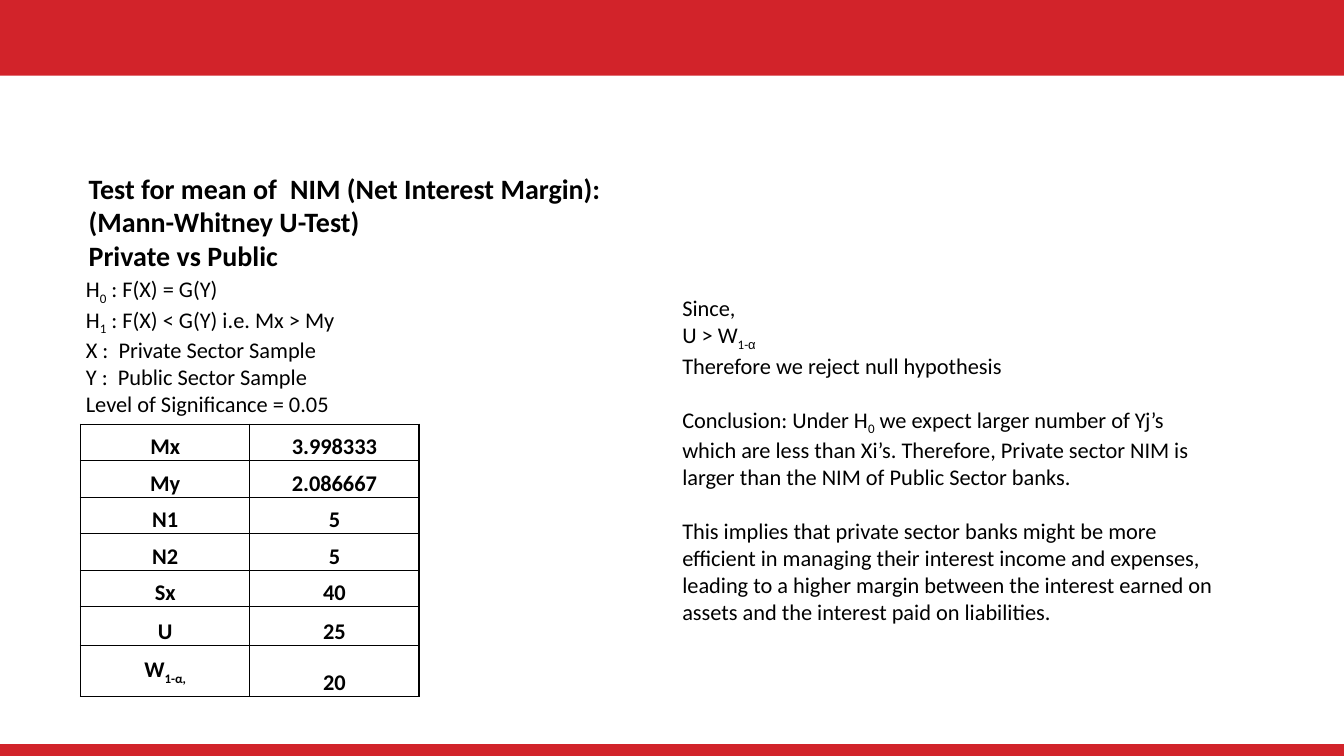
from dataclasses import dataclass

from lxml import etree
from pptx import Presentation
from pptx.dml.color import RGBColor
from pptx.enum import shapes, text
from pptx.oxml import ns
from pptx.util import Cm, Pt

RED, BLACK = "D2232A", "000000"
FONT = "Calibri"


@dataclass
class Box:
    left: float
    top: float
    width: float
    height: float

    def lengths(self) -> tuple:
        return Cm(self.left), Cm(self.top), Cm(self.width), Cm(self.height)


@dataclass
class Piece:
    words: str
    lowered: bool = False
    font: str = FONT


@dataclass
class Line:
    pieces: list
    gap: float = 0


def sub(words: str, font: str = FONT) -> Piece:
    return Piece(words, True, font)


def line(*pieces, gap: float = 0) -> Line:
    return Line([Piece(x) if isinstance(x, str) else x for x in pieces], gap)


def color(value: str) -> RGBColor:
    return RGBColor.from_string(value)


def write(tf, lines: list, *, size: float = 16, bold: bool = False,
          align=text.PP_ALIGN.LEFT) -> None:
    for i, item in enumerate(lines):
        p = tf.add_paragraph() if i else tf.paragraphs[0]
        p.alignment = align
        p.line_spacing = 1.0
        p.space_before, p.space_after = Pt(item.gap), Pt(0)
        pPr = p._p.get_or_add_pPr()
        pPr.set("marL", "0")
        pPr.set("indent", "0")
        etree.SubElement(pPr, ns.qn("a:buNone"))
        for piece in item.pieces:
            r = p.add_run()
            r.text = piece.words
            r.font.name, r.font.size, r.font.bold = piece.font, Pt(size), bold
            r.font.color.rgb = color(BLACK)
            if piece.lowered:
                r.font._element.set("baseline", "-25000")


def fill_placeholder(sp, box: Box, lines: list, **fmt) -> None:
    sp.left, sp.top, sp.width, sp.height = box.lengths()
    tf = sp.text_frame
    tf.word_wrap = True
    tf.auto_size = text.MSO_AUTO_SIZE.NONE
    tf.vertical_anchor = text.MSO_ANCHOR.TOP
    write(tf, lines, **fmt)


def add_bar(s, box: Box) -> None:
    sp = s.shapes.add_shape(shapes.MSO_SHAPE.RECTANGLE, *box.lengths())
    sp.shadow.inherit = False
    sp.fill.solid()
    sp.fill.fore_color.rgb = color(RED)
    sp.line.fill.background()


def add_borders(cell) -> None:
    tcPr = cell._tc.get_or_add_tcPr()
    for side in ("lnL", "lnR", "lnT", "lnB"):
        ln = etree.SubElement(tcPr, ns.qn(f"a:{side}"), w=str(Pt(1)))
        solid = etree.SubElement(ln, ns.qn("a:solidFill"))
        etree.SubElement(solid, ns.qn("a:srgbClr"), val=BLACK)


def add_results(s, box: Box, rows: list, heights: list) -> None:
    table = s.shapes.add_table(len(rows), 2, *box.lengths()).table
    table.first_row = table.horz_banding = False
    for i, (row, height) in enumerate(zip(rows, heights)):
        table.rows[i].height = Cm(height)
        for j, item in enumerate(row):
            cell = table.cell(i, j)
            cell.margin_left = cell.margin_right = cell.margin_top = Cm(0.03)
            cell.margin_bottom = 0
            cell.vertical_anchor = text.MSO_ANCHOR.BOTTOM
            add_borders(cell)
            cell.fill.background()
            write(cell.text_frame, [item], bold=True,
                  align=text.PP_ALIGN.CENTER)
    table.cell(len(rows) - 1, 0).vertical_anchor = text.MSO_ANCHOR.MIDDLE


TITLE = [
    line("Test for mean of \tNIM (Net Interest Margin):"),
    line("(Mann-Whitney U-Test)"),
    line("Private vs Public"),
]
HYPOTHESES = [
    line("H", sub("0"), " : F(X) = G(Y)"),
    line("H", sub("1"), " : F(X) < G(Y) i.e. Mx > My"),
    line("X :  Private Sector Sample"),
    line("Y :  Public Sector Sample"),
    line("Level of Significance = 0.05"),
]
CONCLUSION = [
    line("Since,"),
    line("U > W", sub("1-"), sub("α", "Arial")),
    line("Therefore we reject null hypothesis"),
    line("Conclusion: Under H", sub("0"),
         " we expect larger number of Yj’s which are less than Xi’s. "
         "Therefore, Private sector NIM is larger than the NIM of Public "
         "Sector banks.", gap=19.5),
    line("This implies that private sector banks might be more efficient in "
         "managing their interest income and expenses, leading to a higher "
         "margin between the interest earned on assets and the interest paid "
         "on liabilities.", gap=19.5),
]
RESULTS = [
    (line("Mx"), line("3.998333")),
    (line("My"), line("2.086667")),
    (line("N1"), line("5")),
    (line("N2"), line("5")),
    (line("Sx"), line("40")),
    (line("U"), line("25")),
    (line("W", sub("1-α,")), line("20")),
]


def main() -> None:
    prs = Presentation()
    prs.slide_width, prs.slide_height = Cm(33.87), Cm(19.05)
    s = prs.slides.add_slide(prs.slide_layouts[3])

    # Red bands
    add_bar(s, Box(0, 0, 33.87, 1.91))
    add_bar(s, Box(0, 18.75, 33.87, 0.3))

    # Title, hypotheses and conclusion
    fill_placeholder(s.shapes.title, Box(1.98, 4.19, 17.15, 2.82), TITLE,
                     size=20, bold=True)
    fill_placeholder(s.placeholders[1], Box(1.91, 6.81, 10.52, 3.68),
                     HYPOTHESES)
    fill_placeholder(s.placeholders[2], Box(16.94, 7.29, 14.02, 8.46),
                     CONCLUSION)

    # Test results
    add_results(s, Box(2.03, 10.69, 8.53, 6.88), RESULTS,
                [0.92] * 5 + [0.97, 1.3])

    prs.save("out.pptx")


if __name__ == "__main__":
    main()
